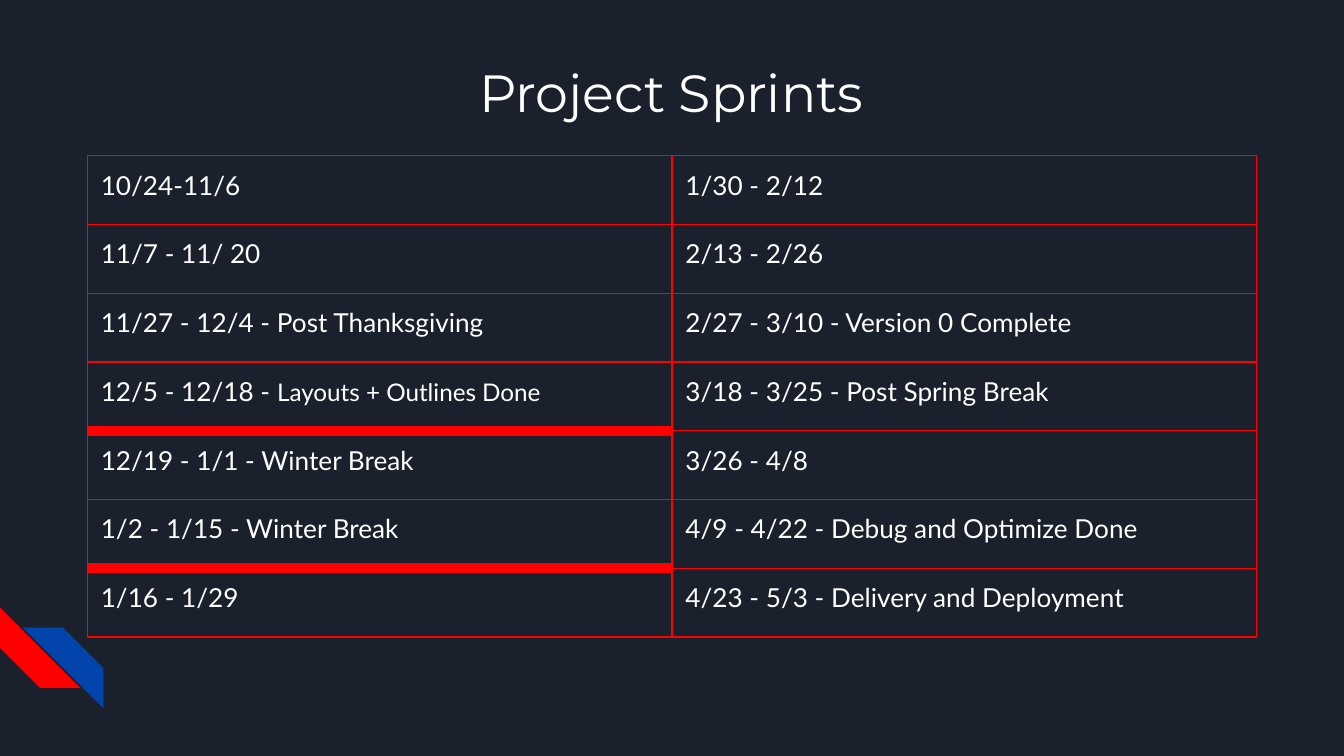
from typing import NamedTuple

import pptx
import pptx.dml.color
import pptx.enum.shapes
import pptx.enum.text
import pptx.oxml.ns
import pptx.util
from lxml import etree

EMU_PER_PX = 4572  # 200 px to the inch

NAVY = pptx.dml.color.RGBColor(0x1B, 0x21, 0x2C)
RED = pptx.dml.color.RGBColor(0xFF, 0x00, 0x00)
BLUE = pptx.dml.color.RGBColor(0x01, 0x45, 0xAC)
WHITE = pptx.dml.color.RGBColor(0xFF, 0xFF, 0xFF)

INSET = 20
THIN = 0.75
THICK = 6


class TextRun(NamedTuple):
    text: str
    size: int = 14
    font: str = "Lato"


class Stripe(NamedTuple):
    left: int
    top: int
    color: pptx.dml.color.RGBColor
    rotation: int = 0
    mirrored: bool = False


class Sprint(NamedTuple):
    runs: tuple[TextRun, ...]
    break_after: bool = False  # a thick rule below the cell


def sprint(text: str, break_after: bool = False) -> Sprint:
    return Sprint((TextRun(text),), break_after)


STRIPES = [
    Stripe(0, 904, RED, rotation=270),
    Stripe(34, 934, BLUE, mirrored=True),
]
STRIPE_SIZE = 120

FALL_SPRINTS = [
    sprint("10/24-11/6"),
    sprint("11/7 - 11/ 20"),
    sprint("11/27 - 12/4 - Post Thanksgiving"),
    Sprint((TextRun("12/5 - 12/18 - "), TextRun("Layouts + Outlines Done", 13)), True),
    sprint("12/19 - 1/1 - Winter Break"),
    sprint("1/2 - 1/15 - Winter Break", True),
    sprint("1/16 - 1/29"),
]
SPRING_SPRINTS = [
    sprint("1/30 - 2/12"),
    sprint("2/13 - 2/26"),
    sprint("2/27 - 3/10 - Version 0 Complete"),
    sprint("3/18 - 3/25 - Post Spring Break"),
    sprint("3/26 - 4/8"),
    sprint("4/9 - 4/22 - Debug and Optimize Done"),
    sprint("4/23 - 5/3 - Delivery and Deployment"),
]


def px(length: float) -> pptx.util.Emu:
    return pptx.util.Emu(round(length * EMU_PER_PX))


def add_run(paragraph, text_run: TextRun) -> None:
    run = paragraph.add_run()
    run.text = text_run.text
    run.font.size = pptx.util.Pt(text_run.size)
    run.font.name = text_run.font
    run.font.color.rgb = WHITE


def set_insets(target) -> None:
    """Give a text frame or a table cell the same margin on every side."""
    target.margin_left = target.margin_right = px(INSET)
    target.margin_top = target.margin_bottom = px(INSET)


def add_stripe(slide, stripe: Stripe) -> None:
    shape = slide.shapes.add_shape(
        pptx.enum.shapes.MSO_SHAPE.DIAGONAL_STRIPE,
        px(stripe.left), px(stripe.top), px(STRIPE_SIZE), px(STRIPE_SIZE),
    )
    shape.adjustments[0] = 0.5
    shape.rotation = stripe.rotation
    shape.shadow.inherit = False
    shape.fill.solid()
    shape.fill.fore_color.rgb = stripe.color
    shape.line.fill.background()
    if stripe.mirrored:
        shape.element.spPr.xfrm.set("flipH", "1")


def add_title(slide, text_run: TextRun) -> None:
    shape = slide.shapes.add_textbox(px(422), px(70), px(1154), px(162))
    frame = shape.text_frame
    frame.word_wrap = True
    frame.vertical_anchor = pptx.enum.text.MSO_ANCHOR.TOP
    set_insets(frame)
    paragraph = frame.paragraphs[0]
    paragraph.alignment = pptx.enum.text.PP_ALIGN.CENTER
    add_run(paragraph, text_run)


def add_border(cell, side: str, width: float) -> None:
    qn = pptx.oxml.ns.qn
    properties = cell._tc.get_or_add_tcPr()
    line = etree.SubElement(properties, qn(f"a:ln{side}"), w=str(pptx.util.Pt(width)))
    fill = etree.SubElement(line, qn("a:solidFill"))
    etree.SubElement(fill, qn("a:srgbClr"), val=str(RED))
    etree.SubElement(line, qn("a:prstDash"), val="solid")


def fill_cell(cell, item: Sprint, break_before: bool) -> None:
    set_insets(cell)
    top = THICK if break_before else THIN
    bottom = THICK if item.break_after else THIN
    for side, width in (("L", THIN), ("R", THIN), ("T", top), ("B", bottom)):
        add_border(cell, side, width)
    cell.fill.background()
    for text_run in item.runs:
        add_run(cell.text_frame.paragraphs[0], text_run)


def add_sprint_table(slide, columns: list[list[Sprint]]) -> None:
    row_count = len(columns[0])
    width, height = 1740, 716
    table = slide.shapes.add_table(
        row_count, len(columns), px(130), px(232), px(width), px(height)
    ).table
    table.first_row = False
    table.horz_banding = False
    for row in table.rows:
        row.height = px(height / row_count)
    for column_index, sprints in enumerate(columns):
        table.columns[column_index].width = px(width / len(columns))
        break_before = False
        for row_index, item in enumerate(sprints):
            fill_cell(table.cell(row_index, column_index), item, break_before)
            break_before = item.break_after


def main() -> None:
    presentation = pptx.Presentation()
    presentation.slide_width = px(2000)
    presentation.slide_height = px(1125)
    slide = presentation.slides.add_slide(presentation.slide_layouts[6])
    slide.background.fill.solid()
    slide.background.fill.fore_color.rgb = NAVY

    # Corner decoration
    for stripe in STRIPES:
        add_stripe(slide, stripe)

    # Sprint dates and heading
    add_sprint_table(slide, [FALL_SPRINTS, SPRING_SPRINTS])
    add_title(slide, TextRun("Project Sprints", 28, "Montserrat"))

    presentation.save("out.pptx")


if __name__ == "__main__":
    main()
